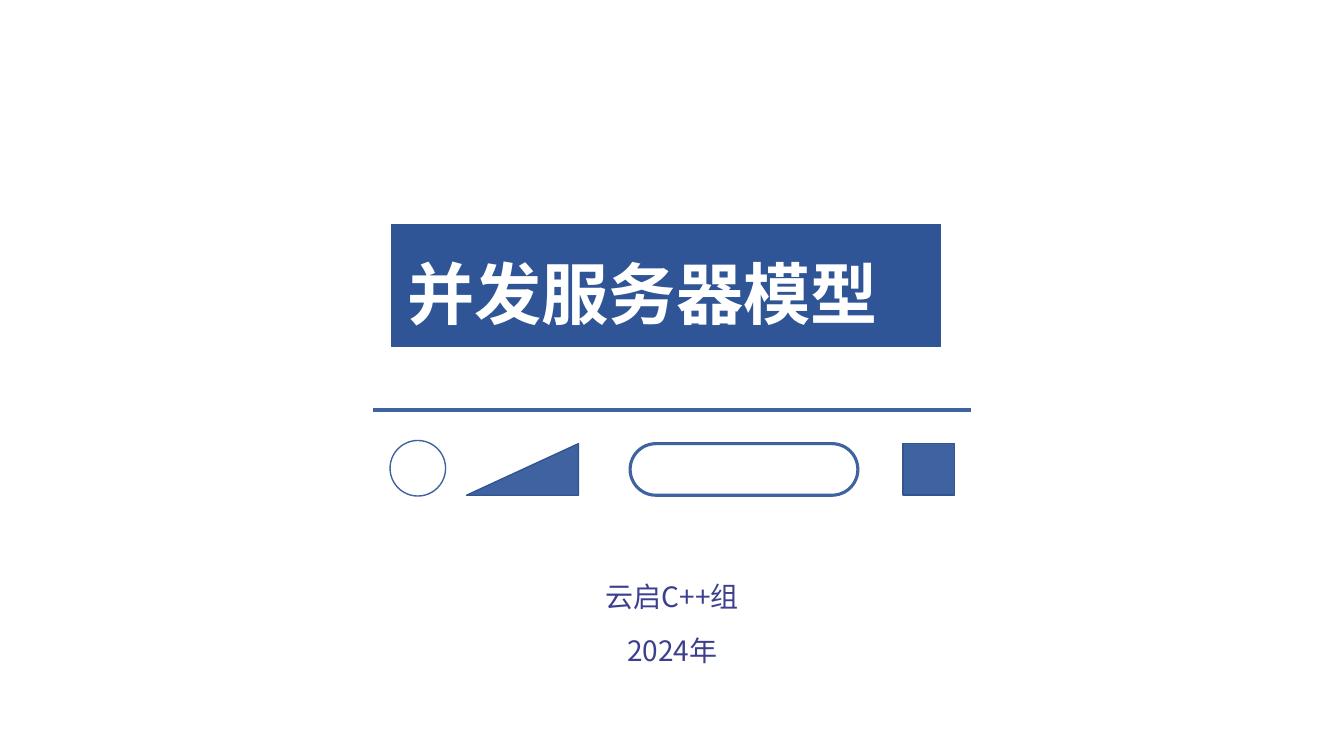
"""Build the title slide on concurrent server models."""
from lxml.etree import SubElement
from pptx import Presentation
from pptx.dml.color import RGBColor
from pptx.enum.shapes import MSO_CONNECTOR, MSO_SHAPE
from pptx.enum.text import MSO_ANCHOR, MSO_AUTO_SIZE, PP_ALIGN
from pptx.oxml.ns import qn
from pptx.util import Cm, Pt

BLUE, EDGE = "3F63A1", "325491"


def tint(item, code):
    item.rgb = RGBColor.from_string(code)


def write(box, text, align, code, font):
    frame = box.text_frame
    frame.word_wrap = True
    frame.auto_size = MSO_AUTO_SIZE.NONE
    frame.vertical_anchor = MSO_ANCHOR.TOP
    para = frame.paragraphs[0]
    para.alignment = align
    run = para.add_run()
    run.text = text
    for key, value in font.items():
        setattr(run.font, key, value)
    tint(run.font.color, code)


deck = Presentation()
deck.slide_width, deck.slide_height = Cm(33.87), Cm(19.05)
slide = deck.slides.add_slide(deck.slide_layouts[5])
shapes = slide.shapes

forms = [
    (MSO_SHAPE.RECTANGLE, 9.86, 5.66, 13.84, 3.07, "2F5597", EDGE, 1),
    (MSO_SHAPE.OVAL, 9.83, 11.1, 1.4, 1.4, None, BLUE, 1),
    (MSO_SHAPE.RIGHT_TRIANGLE, 11.76, 11.18, 2.82, 1.3, BLUE, EDGE, 1),
    (MSO_SHAPE.ROUNDED_RECTANGLE, 15.88, 11.18, 5.74, 1.3, None, BLUE, 2.25),
    (MSO_SHAPE.RECTANGLE, 22.76, 11.18, 1.3, 1.3, BLUE, EDGE, 1),
]
for kind, left, top, width, height, fill, edge, weight in forms:
    form = shapes.add_shape(kind, Cm(left), Cm(top), Cm(width), Cm(height))
    form.shadow.inherit = False
    if fill:
        form.fill.solid()
        tint(form.fill.fore_color, fill)
    else:
        form.fill.background()
    form.line.width = Pt(weight)
    tint(form.line.color, edge)
    if kind == MSO_SHAPE.RIGHT_TRIANGLE:
        form._element.spPr.xfrm.set("flipH", "1")
    elif kind == MSO_SHAPE.ROUNDED_RECTANGLE:
        form.adjustments[0] = 0.5

rule = shapes.add_connector(
    MSO_CONNECTOR.STRAIGHT, Cm(9.4), Cm(10.34), Cm(24.46), Cm(10.34))
rule.line.width = Pt(3)
tint(rule.line.color, BLUE)
SubElement(rule._element.spPr, qn("a:effectLst"))

title = shapes.title
place = {"left": Cm(10.01), "top": Cm(6.22), "width": Cm(13.51), "height": Cm(2.31)}
for key, value in place.items():
    setattr(title, key, value)
write(title, "并发服务器模型", PP_ALIGN.JUSTIFY, "FFFFFF",
      {"name": "Calibri", "size": Pt(48), "bold": True})
shapes._spTree.append(title._element)

for top, text in [(14.48, "云启C++组"), (15.85, "2024年")]:
    box = shapes.add_textbox(Cm(11.48), Cm(top), Cm(10.92), Cm(1.12))
    write(box, text, PP_ALIGN.CENTER, "3C3F8E",
          {"name": "Noto Sans CJK SC", "size": Pt(20)})

deck.save("out.pptx")
